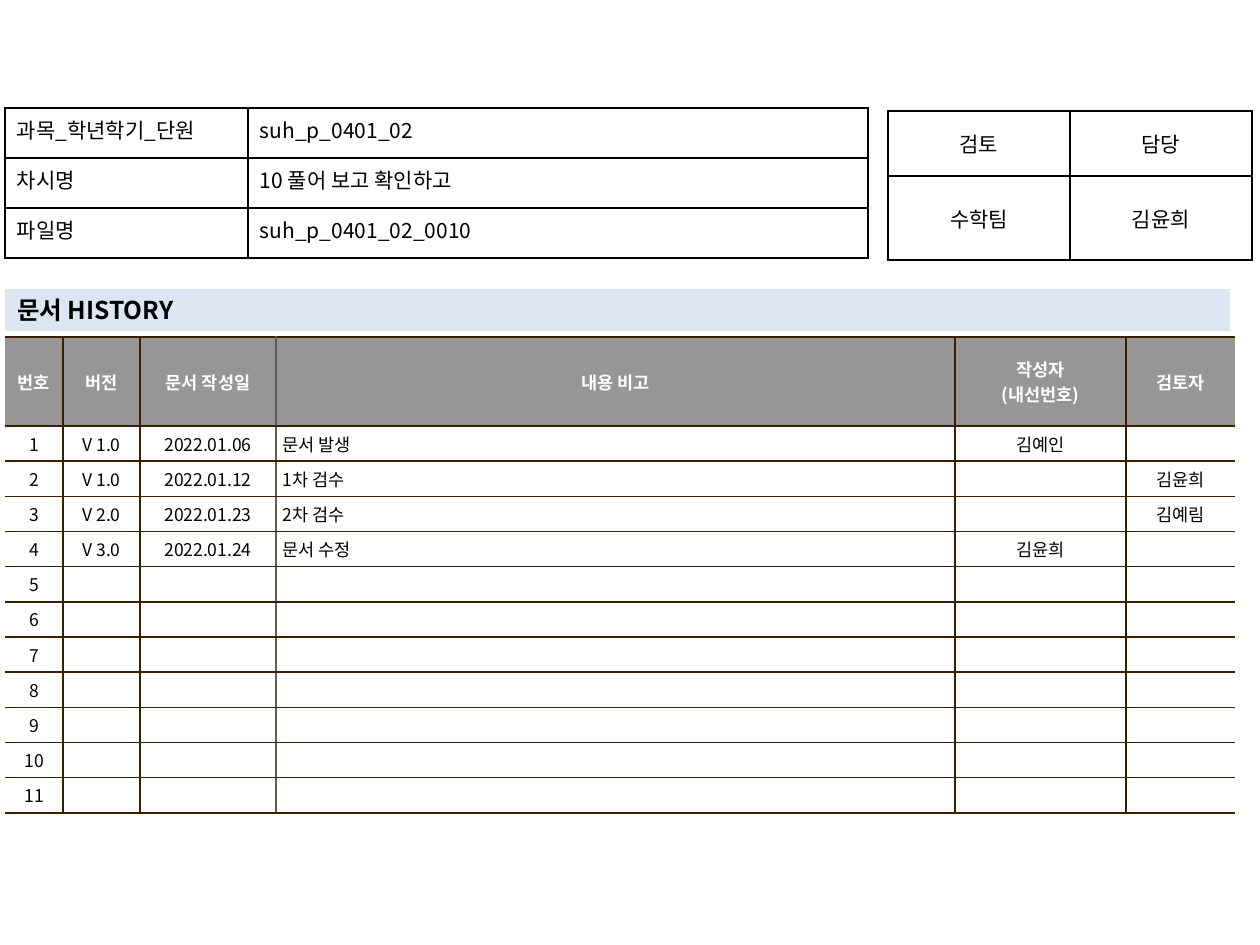
from dataclasses import dataclass

from lxml.etree import SubElement
from pptx import Presentation
from pptx.dml.color import RGBColor
from pptx.enum.text import MSO_ANCHOR, MSO_AUTO_SIZE, PP_ALIGN
from pptx.oxml.ns import qn
from pptx.util import Emu, Pt

EMU_PER_PX = 914400 / 126


@dataclass(frozen=True)
class Theme:
    font: str = "Noto Sans CJK KR"
    ink: str = "000000"
    paper: str = "FFFFFF"
    band: str = "DCE6F2"
    header: str = "969696"
    rule: str = "362000"
    soft_rule: str = "645B4C"
    heading_size: int = 14
    form_size: int = 12
    history_size: int = 10


THEME = Theme()

INFO = [
    ("과목_학년학기_단원", "suh_p_0401_02"),
    ("차시명", "10 풀어 보고 확인하고"),
    ("파일명", "suh_p_0401_02_0010"),
]
REVIEW = [("검토", "담당"), ("수학팀", "김윤희")]
HISTORY_HEADER = ("번호", "버전", "문서 작성일", "내용 비고", "작성자\n(내선번호)", "검토자")
REVISIONS = [
    ("V 1.0", "2022.01.06", "문서 발생", "김예인", ""),
    ("V 1.0", "2022.01.12", "1차 검수", "", "김윤희"),
    ("V 2.0", "2022.01.23", "2차 검수", "", "김예림"),
    ("V 3.0", "2022.01.24", "문서 수정", "김윤희", ""),
]
HISTORY_LENGTH = 11
NOTE_COLUMN = 3


def px(length):
    return Emu(round(length * EMU_PER_PX))


def apply(target, values):
    for name, value in values.items():
        setattr(target, name, value)


def margins(across, down):
    return {
        "margin_left": px(across),
        "margin_right": px(across),
        "margin_top": px(down),
        "margin_bottom": px(down),
    }


def write(frame, text, size, color=THEME.ink, bold=False, align=PP_ALIGN.LEFT):
    frame.text = text
    for paragraph in frame.paragraphs:
        paragraph.alignment = align
        for run in paragraph.runs:
            apply(run.font, {"size": Pt(size), "bold": bold, "name": THEME.font})
            run.font.color.rgb = RGBColor.from_string(color)
            SubElement(run.font._element, qn("a:ea"), typeface=THEME.font)
        if not paragraph.runs:
            # An empty cell otherwise takes the height of an 18 pt line.
            SubElement(paragraph._p, qn("a:endParaRPr"), sz=str(size * 100))


def hang(frame, indent):
    for paragraph in frame.paragraphs:
        properties = paragraph._p.get_or_add_pPr()
        properties.set("marL", str(px(indent)))
        properties.set("indent", str(-px(indent)))


def set_borders(cell, left, right, top, bottom):
    """Draw the four cell edges; a colour of None leaves an edge open."""
    properties = cell._tc.get_or_add_tcPr()
    for side, color in zip("LRTB", (left, right, top, bottom)):
        line = SubElement(properties, qn(f"a:ln{side}"), w=str(Pt(1)))
        if color:
            fill = SubElement(line, qn("a:solidFill"))
            SubElement(fill, qn("a:srgbClr"), val=color)
        else:
            SubElement(line, qn("a:noFill"))


def set_fill(cell, color):
    cell.fill.solid()
    cell.fill.fore_color.rgb = RGBColor.from_string(color)


def add_grid(slide, left, top, widths, heights):
    frame = slide.shapes.add_table(
        len(heights), len(widths), px(left), px(top), px(sum(widths)), px(sum(heights))
    )
    table = frame.table
    apply(table, {"first_row": False, "horz_banding": False})
    for column, width in zip(table.columns, widths):
        column.width = px(width)
    for row, height in zip(table.rows, heights):
        row.height = px(height)
    return table


def add_form(slide, left, top, widths, heights, rows, aligns, anchor):
    table = add_grid(slide, left, top, widths, heights)
    for r, row in enumerate(rows):
        for c, text in enumerate(row):
            cell = table.cell(r, c)
            apply(cell, {**margins(12, 6), "vertical_anchor": anchor})
            write(cell.text_frame, text, THEME.form_size, align=aligns[c])
            set_borders(cell, *[THEME.ink] * 4)
            cell.fill.background()


def history_rows():
    blank = ("",) * (len(HISTORY_HEADER) - 1)
    yield HISTORY_HEADER
    for number in range(1, HISTORY_LENGTH + 1):
        revision = REVISIONS[number - 1] if number <= len(REVISIONS) else blank
        yield (str(number), *revision)


def add_history(slide):
    widths = [58, 77, 136, 679, 171, 109]
    heights = [89] + [35] * HISTORY_LENGTH
    table = add_grid(slide, 5, 337, widths, heights)
    # The table is open at both sides, with a softer rule before the notes.
    verticals = [None] + [THEME.rule] * (len(widths) - 1) + [None]
    verticals[NOTE_COLUMN] = THEME.soft_rule

    for r, row in enumerate(history_rows()):
        is_header = r == 0
        for c, text in enumerate(row):
            cell = table.cell(r, c)
            is_note = c == NOTE_COLUMN and not is_header
            apply(cell, {**margins(7, 5), "vertical_anchor": MSO_ANCHOR.MIDDLE})
            write(
                cell.text_frame,
                text,
                THEME.history_size,
                color=THEME.paper if is_header else THEME.ink,
                bold=is_header,
                align=PP_ALIGN.LEFT if is_note else PP_ALIGN.CENTER,
            )
            if is_note:
                hang(cell.text_frame, 24)
            set_borders(cell, verticals[c], verticals[c + 1], THEME.rule, THEME.rule)
            set_fill(cell, THEME.header if is_header else THEME.paper)


def add_heading(slide):
    heading = slide.shapes.title
    apply(heading, {"left": px(5), "top": px(289), "width": px(1225), "height": px(42)})
    heading.fill.solid()
    heading.fill.fore_color.rgb = RGBColor.from_string(THEME.band)
    frame = heading.text_frame
    frame_format = {
        **margins(12, 6),
        "word_wrap": True,
        "auto_size": MSO_AUTO_SIZE.NONE,
        "vertical_anchor": MSO_ANCHOR.MIDDLE,
    }
    apply(frame, frame_format)
    write(frame, "문서 HISTORY", THEME.heading_size, bold=True)


def main():
    deck = Presentation()
    apply(deck, {"slide_width": px(1260), "slide_height": px(945)})
    slide = deck.slides.add_slide(deck.slide_layouts.get_by_name("Title Only"))

    add_heading(slide)
    add_form(slide, 5, 108, [243, 620], [50] * 3, INFO,
             [PP_ALIGN.JUSTIFY, PP_ALIGN.LEFT], MSO_ANCHOR.TOP)
    add_form(slide, 888, 111, [182, 182], [65, 84], REVIEW,
             [PP_ALIGN.CENTER] * 2, MSO_ANCHOR.MIDDLE)
    add_history(slide)

    deck.save("out.pptx")


if __name__ == "__main__":
    main()
